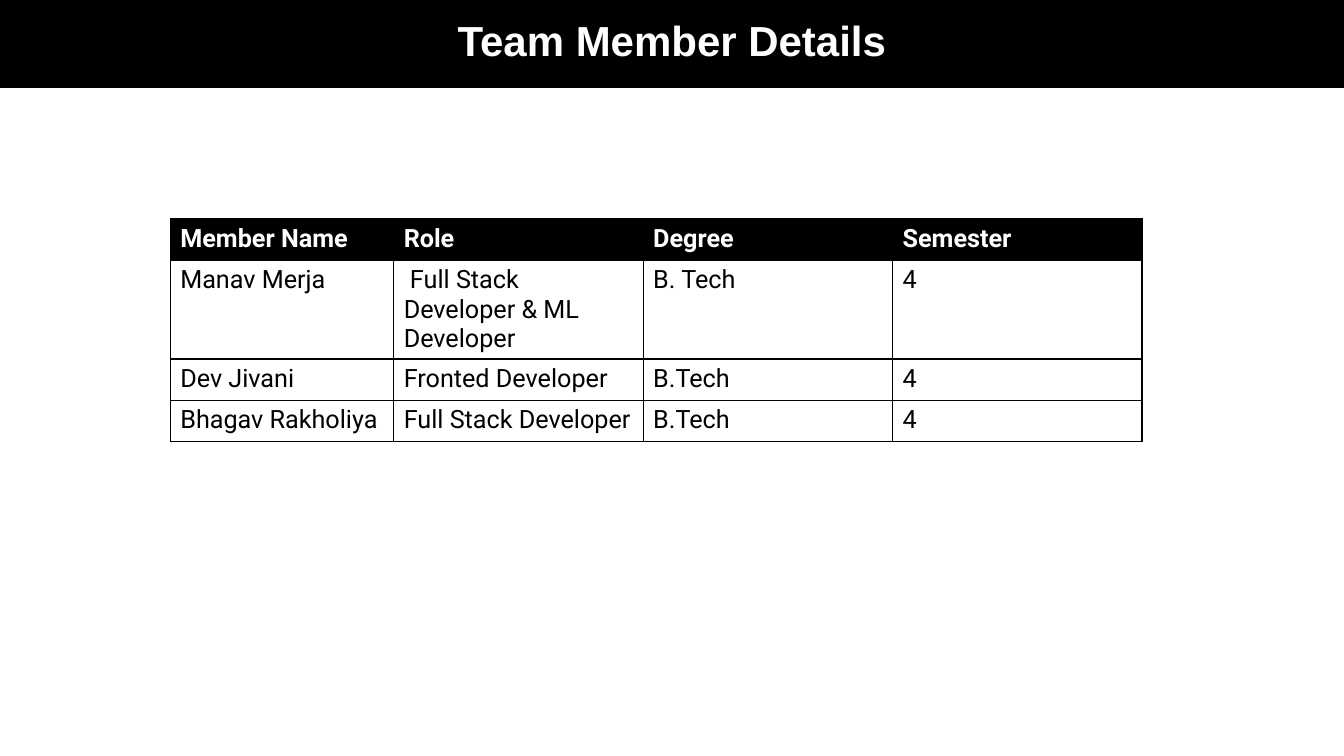
from lxml import etree
from pptx import Presentation
from pptx.dml.color import RGBColor
from pptx.enum import text
from pptx.oxml import ns
from pptx.util import Pt

COLORS = {"black": "000000", "white": "FFFFFF"}


def write_text(frame, content, font="Roboto", size=18, color="black", bold=False,
               align=text.PP_ALIGN.LEFT, spacing=1.0):
    paragraph = frame.paragraphs[0]
    paragraph.alignment = align
    paragraph.line_spacing = spacing
    run = paragraph.add_run()
    run.text = content
    run.font.name = font
    run.font.size = Pt(size)
    run.font.bold = bold
    run.font.color.rgb = RGBColor.from_string(COLORS[color])


def add_borders(cell, color="black", width=1):
    properties = cell._tc.get_or_add_tcPr()
    for position, side in enumerate(("lnL", "lnR", "lnT", "lnB")):
        line = etree.Element(ns.qn(f"a:{side}"), w=str(Pt(width)))
        fill = etree.SubElement(line, ns.qn("a:solidFill"))
        etree.SubElement(fill, ns.qn("a:srgbClr"), val=COLORS[color])
        properties.insert(position, line)


presentation = Presentation()
presentation.slide_width = Pt(960)
presentation.slide_height = Pt(540)
slide = presentation.slides.add_slide(presentation.slide_layouts[5])

title = slide.shapes.title
title.left, title.top, title.width, title.height = Pt(0), Pt(-0.7), Pt(960), Pt(62.6)
title.fill.solid()
title.fill.fore_color.rgb = RGBColor.from_string(COLORS["black"])
title.line.color.rgb = RGBColor.from_string(COLORS["black"])
title.line.width = Pt(1.5)
frame = title.text_frame
frame.auto_size = text.MSO_AUTO_SIZE.NONE
frame.word_wrap = True
frame.vertical_anchor = text.MSO_ANCHOR.MIDDLE
frame.margin_left = frame.margin_right = frame.margin_top = frame.margin_bottom = Pt(9.6)
write_text(frame, "Team Member Details", font="Arial", size=30, color="white", bold=True,
           align=text.PP_ALIGN.CENTER, spacing=0.9)

members = [
    ("Member Name", "Role", "Degree", "Semester"),
    ("Manav Merja", " Full Stack Developer & ML Developer", "B. Tech", "4"),
    ("Dev Jivani", "Fronted Developer", "B.Tech", "4"),
    ("Bhagav Rakholiya", "Full Stack Developer", "B.Tech", "4"),
]
column_widths = [159.6, 178.2, 178.2, 178.2]
row_heights = [29.6, 51.8, 29.6, 29.6]

table = slide.shapes.add_table(len(row_heights), len(column_widths), Pt(121.6), Pt(156.2),
                               Pt(sum(column_widths)), Pt(sum(row_heights))).table
for column, width in zip(table.columns, column_widths):
    column.width = Pt(width)
for row, height in zip(table.rows, row_heights):
    row.height = Pt(height)

for row_index, member in enumerate(members):
    is_header = row_index == 0
    for column_index, content in enumerate(member):
        cell = table.cell(row_index, column_index)
        cell.fill.solid()
        cell.fill.fore_color.rgb = RGBColor.from_string(COLORS["black" if is_header else "white"])
        add_borders(cell)
        write_text(cell.text_frame, content, color="white" if is_header else "black",
                   bold=is_header)

presentation.save("out.pptx")
